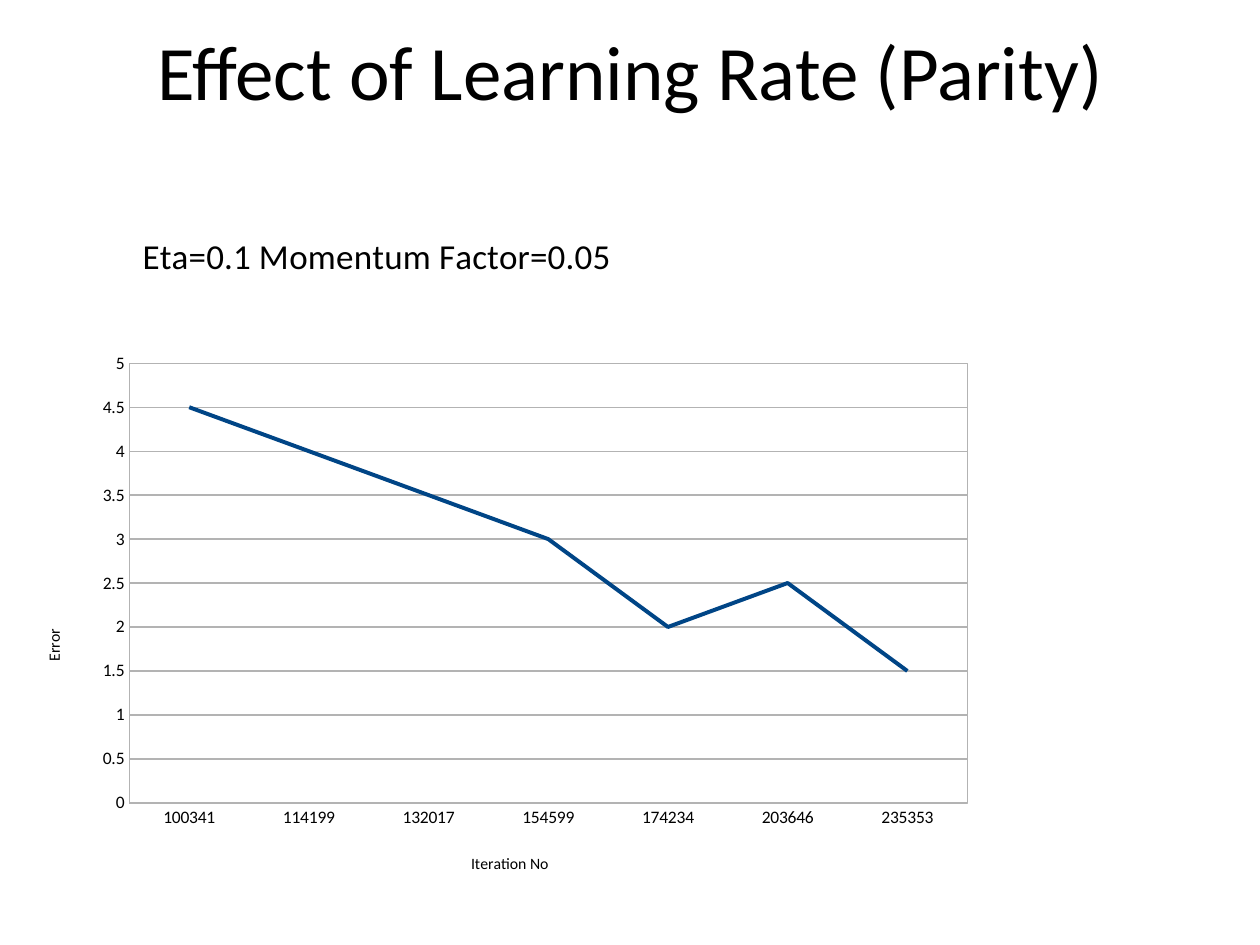
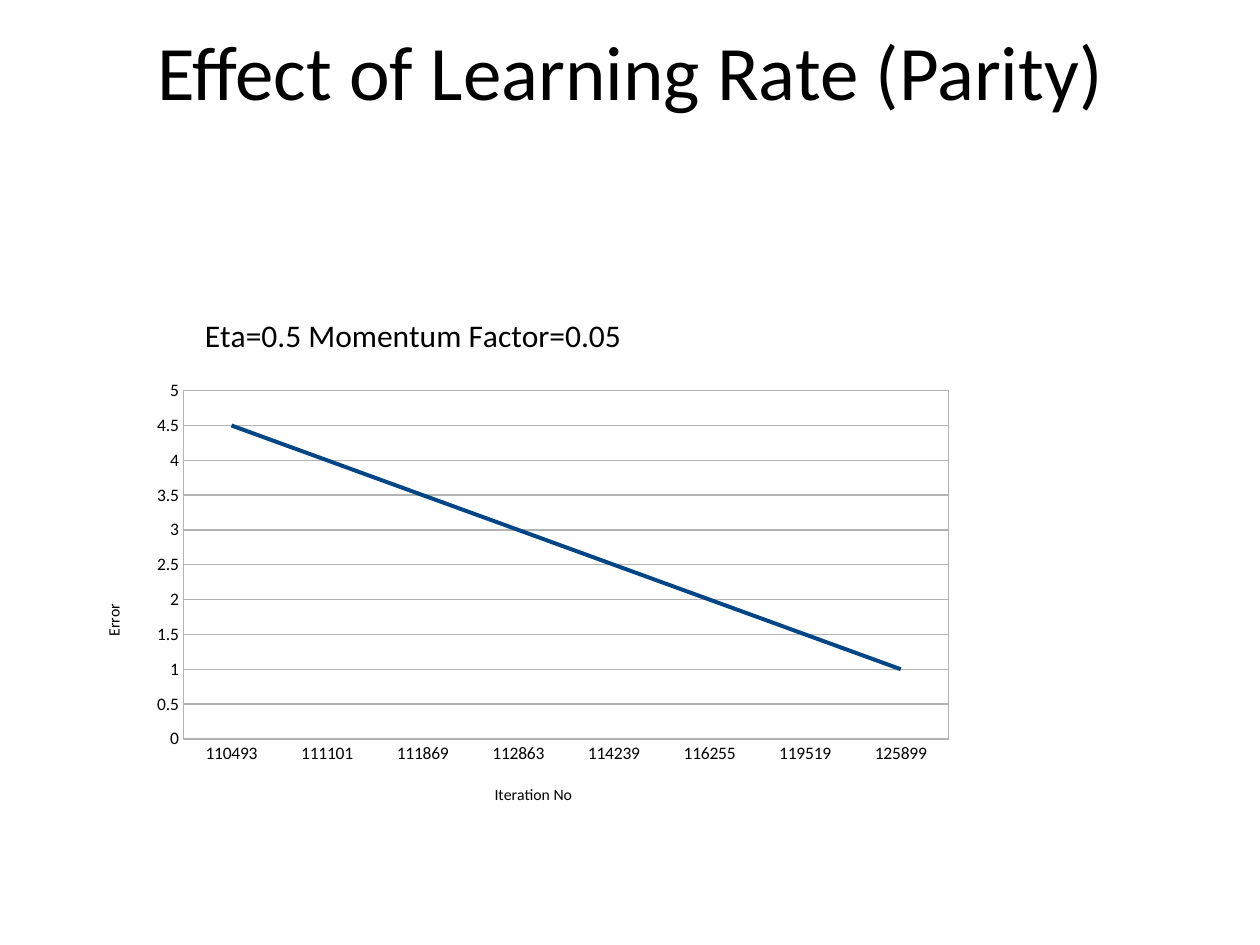
from lxml import etree
from pptx import Presentation
from pptx.chart.data import CategoryChartData
from pptx.dml.color import RGBColor
from pptx.enum.chart import XL_CHART_TYPE, XL_TICK_MARK
from pptx.enum.text import MSO_ANCHOR, PP_ALIGN
from pptx.oxml import parse_xml
from pptx.oxml.ns import nsdecls, qn
from pptx.util import Inches, Pt

BLACK = RGBColor(0x00, 0x00, 0x00)
GRID_GREY = RGBColor(0xB3, 0xB3, 0xB3)
ERROR_BLUE = RGBColor(0x00, 0x45, 0x86)
FONT = "Calibri"

SLIDE_TITLE = "Effect of Learning Rate (Parity)"
TITLE_BOX = (0.01, 0.03, 9.99, 1.04)

# Chart boxes are in inches; caption places are fractions of the chart.
EXPERIMENTS = [
    {
        "caption": "Eta=0.1 Momentum Factor=0.05",
        "caption_size": 20,
        "caption_at": (0.11, 0.09),
        "box": (0, 1.23, 9.83, 6.13),
        "errors": {"100341": 4.5, "114199": 4, "132017": 3.5, "154599": 3,
                   "174234": 2, "203646": 2.5, "235353": 1.5},
    },
    {
        "caption": "Eta=0.5 Momentum Factor=0.05",
        "caption_size": 18,
        "caption_at": (0.12, 0.14),
        "box": (0.5, 1.75, 9, 4.95),
        "errors": {"110493": 4.5, "111101": 4, "111869": 3.5, "112863": 3,
                   "114239": 2.5, "116255": 2, "119519": 1.5, "125899": 1},
    },
]
PLOT_AREA = {"x": 0.083, "y": 0.257, "w": 0.698, "h": 0.614}
ITERATION_TITLE_AT = (0.378, 0.9)
ERROR_TITLE_AT = (0.033, 0.61)


def style_font(font, size):
    settings = {"name": FONT, "size": Pt(size), "bold": False}
    for name, value in settings.items():
        setattr(font, name, value)
    font.color.rgb = BLACK


def style_line(line, color, width):
    line.color.rgb = color
    line.width = Pt(width)


def make_layout(**fractions):
    """Return a manual c:layout, measured from the chart's top left corner."""
    layout = parse_xml(f"<c:layout {nsdecls('c')}><c:manualLayout/></c:layout>")
    settings = {"xMode": "edge", "yMode": "edge", **fractions}
    if "w" in fractions:
        settings = {"layoutTarget": "outer", **settings}
    for name, value in settings.items():
        etree.SubElement(layout[0], qn(f"c:{name}")).set("val", str(value))
    return layout


def remove_layout(element):
    for layout in element.findall(qn("c:layout")):
        element.remove(layout)


def set_chart_text(title, text, size, place):
    """Write a chart or axis title and put it at a place in the chart."""
    title.text_frame.text = text
    style_font(title.text_frame.paragraphs[0].runs[0].font, size)
    element = title._element
    remove_layout(element)
    left, top = place
    element.find(qn("c:tx")).addnext(make_layout(x=left, y=top))


def style_plot_area(chart):
    plot_area = chart._chartSpace.chart.plotArea
    remove_layout(plot_area)
    plot_area.insert(0, make_layout(**PLOT_AREA))
    plot_area.append(parse_xml(
        f"<c:spPr {nsdecls('c', 'a')}><a:noFill/><a:ln w=\"{Pt(0.75)}\"><a:solidFill>"
        f"<a:srgbClr val=\"{GRID_GREY}\"/></a:solidFill></a:ln></c:spPr>"))


def add_title(slide):
    box = slide.shapes.add_textbox(*map(Inches, TITLE_BOX))
    frame = box.text_frame
    frame.word_wrap = True
    frame.vertical_anchor = MSO_ANCHOR.MIDDLE
    paragraph = frame.paragraphs[0]
    paragraph.text = SLIDE_TITLE
    paragraph.alignment = PP_ALIGN.CENTER
    style_font(paragraph.runs[0].font, 44)


def add_error_chart(slide, experiment):
    data = CategoryChartData()
    data.categories = list(experiment["errors"])
    data.add_series("Series 1", list(experiment["errors"].values()))
    chart = slide.shapes.add_chart(
        XL_CHART_TYPE.LINE, *map(Inches, experiment["box"]), data).chart
    chart.has_legend = False
    style_font(chart.font, 10)
    set_chart_text(chart.chart_title, experiment["caption"],
                   experiment["caption_size"], experiment["caption_at"])

    for axis, text, place in (
        (chart.category_axis, "Iteration No", ITERATION_TITLE_AT),
        (chart.value_axis, "Error", ERROR_TITLE_AT),
    ):
        axis.major_tick_mark = axis.minor_tick_mark = XL_TICK_MARK.NONE
        style_line(axis.format.line, GRID_GREY, 0.75)
        style_font(axis.tick_labels.font, 10)
        set_chart_text(axis.axis_title, text, 9, place)

    scale = {"minimum_scale": 0, "maximum_scale": 5, "major_unit": 0.5}
    for name, value in scale.items():
        setattr(chart.value_axis, name, value)
    style_line(chart.value_axis.major_gridlines.format.line, GRID_GREY, 0.75)
    style_plot_area(chart)

    plot = chart.plots[0]
    plot.vary_by_categories = False
    series = plot.series[0]
    series.smooth = False
    style_line(series.format.line, ERROR_BLUE, 2.27)


def main():
    presentation = Presentation()
    presentation.slide_width = Inches(10)
    presentation.slide_height = Inches(7.5)
    blank_layout = presentation.slide_layouts[6]
    for experiment in EXPERIMENTS:
        slide = presentation.slides.add_slide(blank_layout)
        add_title(slide)
        add_error_chart(slide, experiment)
    presentation.save("out.pptx")


if __name__ == "__main__":
    main()
